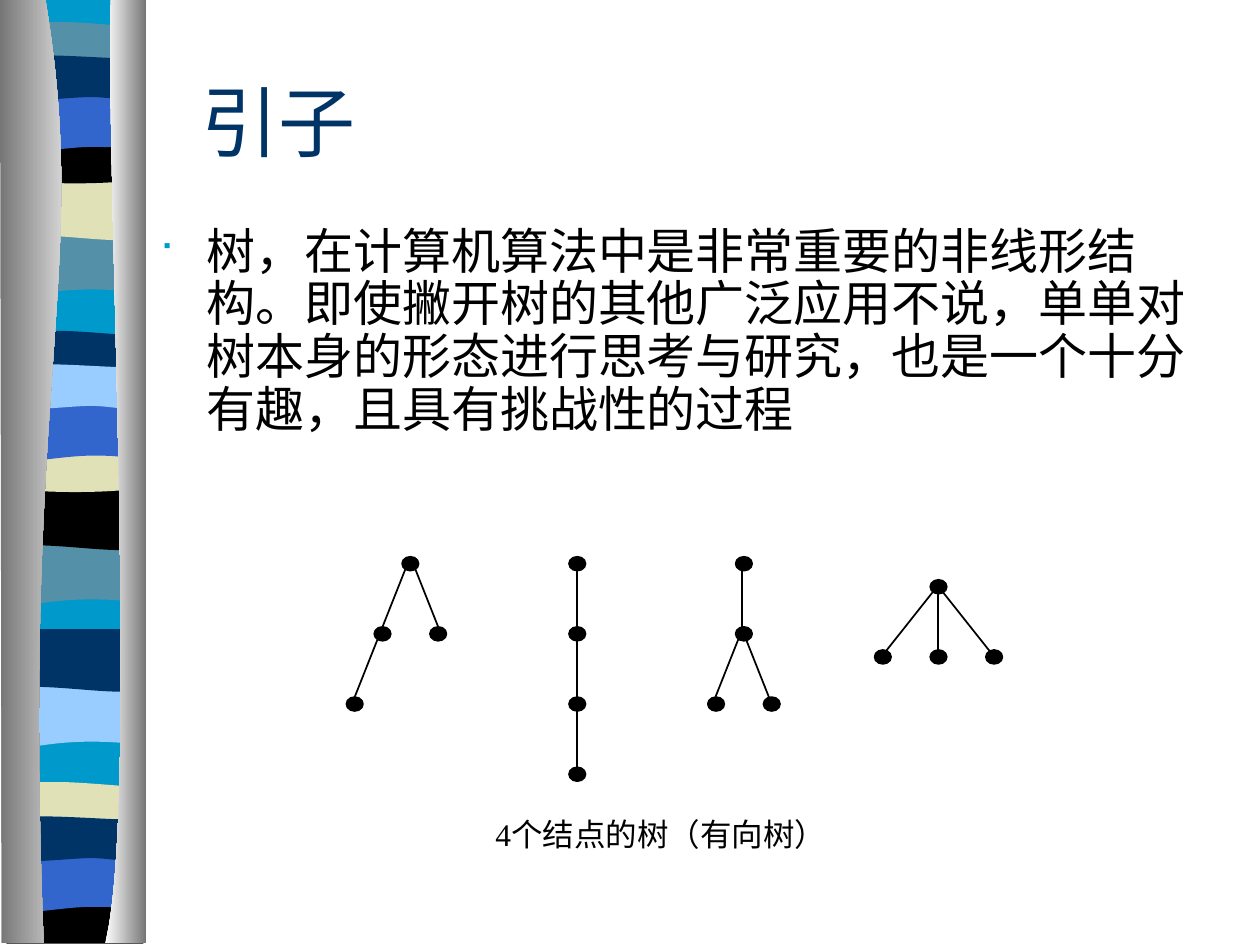
"""Build the opening slide on trees, with a striped side band and four small trees."""
from lxml.etree import SubElement
from pptx import Presentation
from pptx.dml.color import RGBColor
from pptx.enum.shapes import MSO_CONNECTOR, MSO_SHAPE
from pptx.enum.text import MSO_ANCHOR, PP_ALIGN
from pptx.oxml.ns import qn
from pptx.util import Pt

TITLE = "引子"
BODY = ("树，在计算机算法中是非常重要的非线形结构。即使撇开树的其他广泛应用不说，"
        "单单对树本身的形态进行思考与研究，也是一个十分有趣，且具有挑战性的过程")
NOTE = "4个结点的树（有向树）"
SERIF, SANS = "Times New Roman", "Noto Sans CJK SC"
BLACK, WHITE, NAVY, SKY = "000000", "FFFFFF", "003366", "0099CC"
TEAL, SAND, BLUE, PALE, GREY = "5490A8", "E1E1B7", "3366CC", "99CCFF", "767676"

LEFT, RIGHT = 3.6, 82
WAVES = {
    "base": [(RIGHT, 0), (RIGHT, 538), (LEFT, 538), (LEFT, 0)],
    "sway": [(RIGHT, 0), (RIGHT, 34), (28, 28, 17, 39.5, LEFT, 34), (LEFT, 0)],
    "roll": [(RIGHT, 0), (RIGHT, 34), (69, 39.5, 28, 30, LEFT, 34), (LEFT, 0)],
    "arch": [(RIGHT, 3.2), (RIGHT, 21), (69, 24, 17, 24, LEFT, 21), (LEFT, 3.2),
             (8.6, 0, 21, 0.3, 34, 0.3), (47, 0.3, 72, 3, RIGHT, 3.2)],
    "bowl": [(RIGHT, 0), (RIGHT, 24), (69, 28, 17, 28, LEFT, 24), (LEFT, 0),
             (52, 4, 66, 0, RIGHT, 0)],
    "foot": [(RIGHT, 0), (RIGHT, 26.6), (LEFT, 26.6), (LEFT, 0),
             (52, 4, 66, 0, RIGHT, 0)],
    "lift": [(RIGHT, 0), (RIGHT, 34), (70, 30, 65, 30, 52, 30),
             (39, 30, 16, 34, LEFT, 34), (LEFT, 0)],
    "fold": [(RIGHT, 3.8), (RIGHT, 26), (77, 30, 65, 26, 52, 26),
             (39, 26, 12, 30, LEFT, 26), (LEFT, 3.8),
             (15, 0, 57, 3.8, 70, 3.8), (RIGHT, 3.8)],
}
BANDS = [
    ("base", 0, SKY),
    ("sway", 133.2, TEAL), ("roll", 101.5, SAND), ("arch", 12.2, TEAL),
    ("bowl", 77.8, BLACK), ("lift", 54, BLUE), ("fold", 29.5, NAVY),
    ("sway", 310.3, TEAL), ("roll", 278.6, BLACK), ("arch", 188.8, NAVY),
    ("bowl", 254.2, SAND), ("lift", 230.4, BLUE), ("fold", 206, PALE),
    ("sway", 391.6, PALE), ("roll", 359.5, NAVY), ("arch", 446.6, SAND),
    ("foot", 512.6, BLACK), ("lift", 488.2, BLUE), ("fold", 464.4, NAVY),
]
EDGES = [
    ([(26, 0), (52, 156, 12, 213, 25, 539), (1, 539), (0, 0)], GREY, WHITE),
    ([(63.4, 0), (60, 90, 80, 466, 60, 539), (83.5, 539), (83.5, 0)], WHITE, GREY),
]

DOT_W, DOT_H, STEP_X, STEP_Y = 9.4, 7.9, 15.9, 40.1
TREES = [
    {"root": (234.5, 322.1), "shift": (0, -4),
     "dots": [(0, 0), (-1, 1), (1, 1), (-2, 2)], "links": [(0, 1), (0, 2), (1, 3)]},
    {"root": (329.9, 322.1), "shift": (-0.2, -4),
     "dots": [(0, 0), (0, 1), (0, 2), (0, 3)], "links": [(0, 3)]},
    {"root": (425.1, 322.1), "shift": (-1, -2.4),
     "dots": [(0, 0), (0, 1), (-1, 2), (1, 2)], "links": [(0, 1), (1, 2), (1, 3)]},
    {"root": (536.3, 335.3), "shift": (-0.4, -0.6),
     "dots": [(0, 0), (-2, 1), (0, 1), (2, 1)], "links": [(0, 1), (0, 2), (0, 3)]},
]


def hue(code):
    return RGBColor.from_string(code)


def paint(shape, code, line=None):
    shape.shadow.inherit = False
    shape.fill.solid()
    shape.fill.fore_color.rgb = hue(code)
    if line:
        shape.line.color.rgb = hue(line)
        shape.line.width = Pt(1)
    else:
        shape.line.fill.background()


def outline(shapes, parts, top=0):
    spots = [(Pt(part[i]), Pt(part[i + 1] + top))
             for part in parts for i in range(0, len(part), 2)]
    pen = shapes.build_freeform(*spots[0])
    pen.add_line_segments(spots[1:])
    shape = pen.convert_to_shape()
    steps = iter(list(shape._element.iter(qn("a:lnTo"))))
    for part in parts[1:]:
        step = next(steps)
        if len(part) == 6:
            step.tag = qn("a:cubicBezTo")
            for _ in range(2):
                extra = next(steps)
                step.append(extra[0])
                extra.getparent().remove(extra)
    return shape


def side(shapes):
    for kind, top, code in BANDS:
        paint(outline(shapes, WAVES[kind], top), code)
    for parts, start, end in EDGES:
        edge = outline(shapes, parts)
        paint(edge, start)
        edge.fill.gradient()
        edge.fill.gradient_angle = 0
        for stop, code in zip(edge.fill.gradient_stops, (start, end)):
            stop.color.rgb = hue(code)


def bullet(para):
    props = para._p.get_or_add_pPr()
    props.set("marL", str(Pt(27)))
    props.set("indent", str(Pt(-27)))
    props.set("hangingPunct", "0")
    tint = SubElement(props, qn("a:buClr"))
    SubElement(tint, qn("a:srgbClr"), val=SKY)
    SubElement(props, qn("a:buSzPct"), val="70000")
    SubElement(props, qn("a:buFont"), typeface="Wingdings")
    SubElement(props, qn("a:buChar"), char="■")


def write(shapes, text, spot, size, face, code, anchor=MSO_ANCHOR.TOP):
    box = shapes.add_textbox(*map(Pt, spot))
    frame = box.text_frame
    frame.word_wrap = True
    frame.vertical_anchor = anchor
    para = frame.paragraphs[0]
    para.text = text
    if text == BODY:
        bullet(para)
        para.line_spacing = 0.9
    para.font.size = Pt(size)
    para.font.name = face
    para.font.color.rgb = hue(code)
    return box


def plant(shapes, tree):
    (x, y), (dx, dy) = tree["root"], tree["shift"]
    dots = [(x + col * STEP_X, y + row * STEP_Y) for col, row in tree["dots"]]
    for a, b in tree["links"]:
        ends = [Pt(v + d) for spot in (dots[a], dots[b]) for v, d in zip(spot, (dx, dy))]
        line = shapes.add_connector(MSO_CONNECTOR.STRAIGHT, *ends)
        line.line.color.rgb = hue(BLACK)
        line.line.width = Pt(1)
        SubElement(line._element.spPr, qn("a:effectLst"))
    for cx, cy in dots:
        spot = (cx - DOT_W / 2, cy - DOT_H / 2, DOT_W, DOT_H)
        paint(shapes.add_shape(MSO_SHAPE.OVAL, *map(Pt, spot)), BLACK, BLACK)


def main():
    deck = Presentation()
    deck.slide_width, deck.slide_height = Pt(720), Pt(540)
    shapes = deck.slides.add_slide(deck.slide_layouts[6]).shapes
    side(shapes)
    write(shapes, BODY, (84, 126, 612, 132), 28, SANS, BLACK)
    write(shapes, TITLE, (108, 24, 108, 90), 44, SERIF, NAVY, MSO_ANCHOR.MIDDLE)
    for tree in TREES:
        plant(shapes, tree)
    note = write(shapes, NOTE, (276, 462, 210, 34), 18, SERIF, BLACK)
    note.fill.solid()
    note.fill.fore_color.rgb = hue(WHITE)
    note.text_frame.paragraphs[0].alignment = PP_ALIGN.JUSTIFY
    deck.save("out.pptx")


if __name__ == "__main__":
    main()
